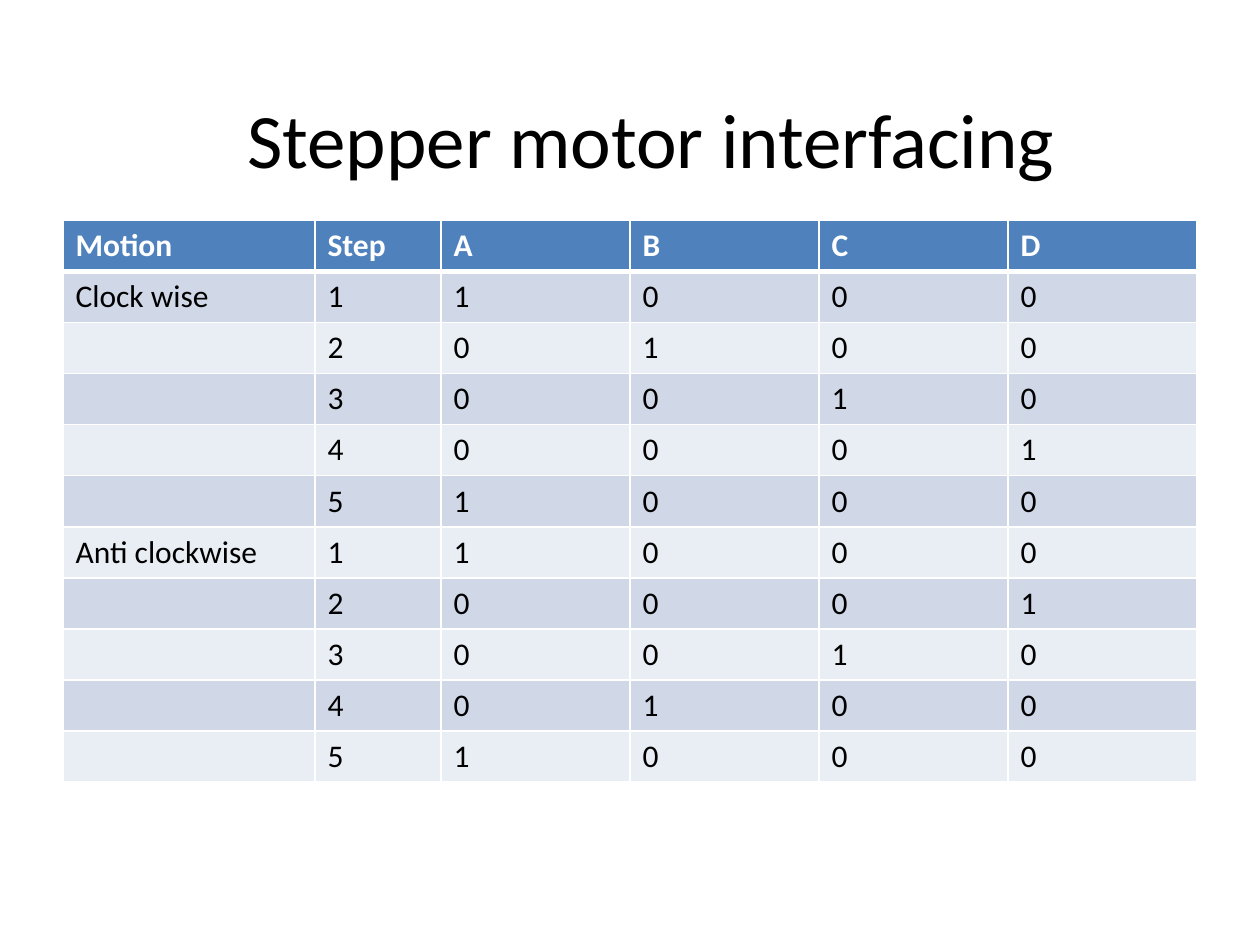
from lxml import etree
from pptx import Presentation
from pptx import util as u
from pptx.dml.color import RGBColor
from pptx.enum import text
from pptx.oxml.ns import qn

TITLE = "Stepper motor interfacing"
HEADINGS = ("Motion", "Step", "A", "B", "C", "D")
MOTIONS = {"Clock wise": "ABCDA", "Anti clockwise": "ADCBA"}
COLUMN_WIDTHS = (2, 1, 1.5, 1.5, 1.5, 1.5)
TABLE_HEIGHT = 4.46
COLORS = {
    "header": "4F81BD",
    "odd": "D0D8E8",
    "even": "E9EDF4",
    "white": "FFFFFF",
    "black": "000000",
}


def color(name):
    return RGBColor.from_string(COLORS[name])


def set_font(paragraph, size, name, bold=False):
    font = paragraph.font
    font.name = "Calibri"
    font.size = u.Pt(size)
    font.bold = bold
    font.color.rgb = color(name)


def add_borders(cell, bottom):
    properties = cell._tc.get_or_add_tcPr()
    for side, width in (("L", 1), ("R", 1), ("T", 1), ("B", bottom)):
        line = etree.SubElement(properties, qn(f"a:ln{side}"), w=str(u.Pt(width)))
        fill = etree.SubElement(line, qn("a:solidFill"))
        etree.SubElement(fill, qn("a:srgbClr"), val=COLORS["white"])


def add_title(page):
    box = page.shapes.add_textbox(u.Inches(0.67), u.Inches(0.47), u.Inches(9), u.Inches(1.25))
    frame = box.text_frame
    frame.word_wrap = True
    frame.vertical_anchor = text.MSO_ANCHOR.MIDDLE
    paragraph = frame.paragraphs[0]
    paragraph.text = TITLE
    paragraph.alignment = text.PP_ALIGN.CENTER
    set_font(paragraph, 44, "black")


def step_rows():
    for motion, coils in MOTIONS.items():
        for step, active in enumerate(coils, 1):
            label = motion if step == 1 else ""
            yield (label, str(step), *("1" if coil == active else "0" for coil in "ABCD"))


def add_step_table(page):
    rows = [HEADINGS, *step_rows()]
    table = page.shapes.add_table(
        len(rows), len(HEADINGS), u.Inches(0.5), u.Inches(1.75),
        u.Inches(sum(COLUMN_WIDTHS)), u.Inches(TABLE_HEIGHT),
    ).table
    for column, width in zip(table.columns, COLUMN_WIDTHS):
        column.width = u.Inches(width)
    for row, values in enumerate(rows):
        header = row == 0
        band = "header" if header else "odd" if row % 2 else "even"
        for column, value in enumerate(values):
            cell = table.cell(row, column)
            add_borders(cell, 3 if header else 1)
            cell.fill.solid()
            cell.fill.fore_color.rgb = color(band)
            paragraph = cell.text_frame.paragraphs[0]
            paragraph.text = value
            set_font(paragraph, 18, "white" if header else "black", header)


def main():
    deck = Presentation()
    deck.slide_width, deck.slide_height = u.Inches(10), u.Inches(7.5)
    page = deck.slides.add_slide(deck.slide_layouts[6])
    add_title(page)
    add_step_table(page)
    deck.save("out.pptx")


if __name__ == "__main__":
    main()
